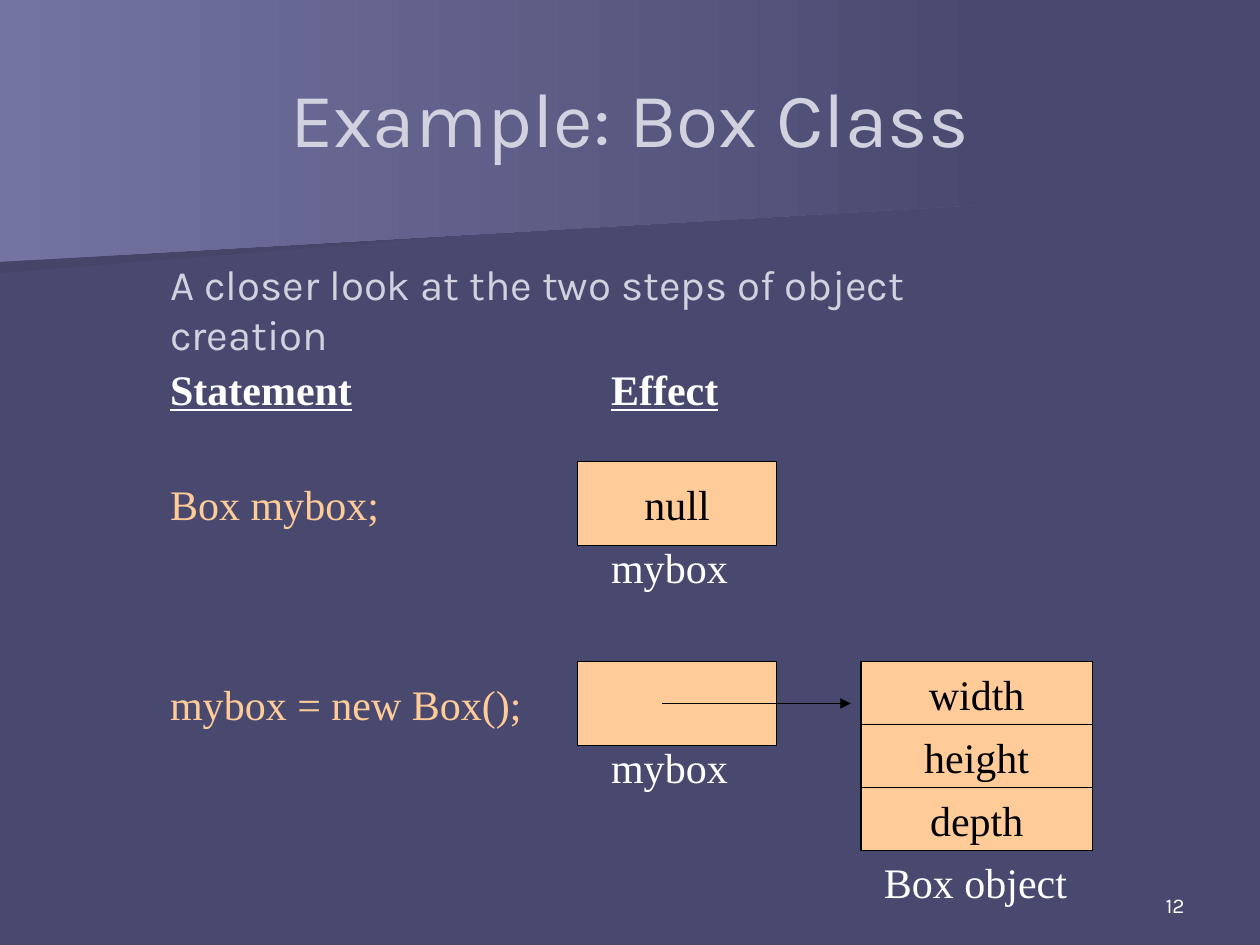
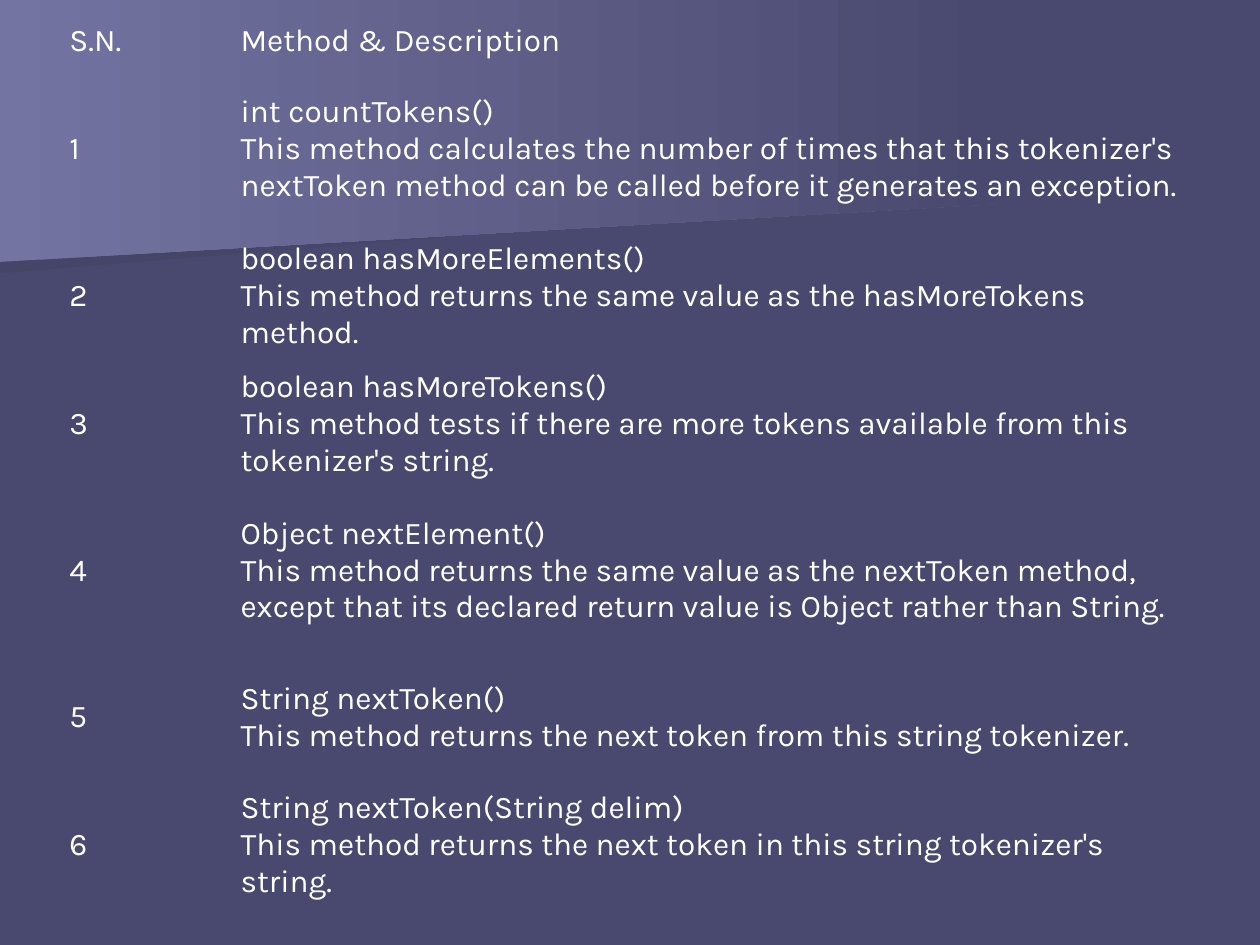
"""Build two slides on Java objects: the Box class and the tokenizer methods."""
import dataclasses

import lxml.etree
import pptx
import pptx.dml.color
import pptx.enum.shapes
import pptx.enum.text
import pptx.oxml.ns
import pptx.util

Cm, Pt = pptx.util.Cm, pptx.util.Pt
ALIGN, ANCHOR = pptx.enum.text.PP_ALIGN, pptx.enum.text.MSO_ANCHOR
SHAPE = pptx.enum.shapes.MSO_SHAPE
LINE = pptx.enum.shapes.MSO_CONNECTOR.STRAIGHT


@dataclasses.dataclass(frozen=True)
class Theme:
    back: str = "49496F"
    shade: str = "454568"
    glow: str = "7474A2"
    pale: str = "D1D1DF"
    white: str = "FFFFFF"
    peach: str = "FFCC99"
    black: str = "000000"
    sans: str = "Karla"
    serif: str = "Times New Roman"
    title: int = 44
    body: int = 24
    table: int = 18
    small: int = 12


THEME = Theme()

TITLE = "Example: Box Class"
LEAD = "A closer look at the two steps of object creation"
NUMBER = "12"
HEADS = [("Statement", 3.18, 4.45), ("Effect", 12.07, 3.61)]
STEPS = [("Box mybox;", "null", 9.31), ("mybox = new Box();", "", 13.34)]
NAME = "mybox"
FIELDS = ["width", "height", "depth"]
OBJECT = "Box object"

METHODS = [
    ("int countTokens()",
     "This method calculates the number of times that this tokenizer's "
     "nextToken method can be called before it generates an exception."),
    ("boolean hasMoreElements()",
     "This method returns the same value as the hasMoreTokens method."),
    ("boolean hasMoreTokens()",
     "This method tests if there are more tokens available from this tokenizer's string."),
    ("Object nextElement()",
     "This method returns the same value as the nextToken method, "
     "except that its declared return value is Object rather than String."),
    ("String nextToken()",
     "This method returns the next token from this string tokenizer."),
    ("String nextToken(String delim)",
     "This method returns the next token in this string tokenizer's string."),
]
ROWS = [("S.N.", "Method & Description")] + [
    (str(num), f"{call}\v{note}") for num, (call, note) in enumerate(METHODS, 1)]
WIDTHS = [3.45, 19.41]
HEIGHTS = [0.94, 3.35, 2.57, 2.57, 3.35, 2.57, 2.57]

BANDS = [
    (THEME.shade, [(19.76, 3.89), (0, 5.51), (0, 2.57), (19.79, 2.57), (19.76, 3.25)]),
    (THEME.glow, [(20.12, 4.11), (0, 5.28), (0, 0), (20.12, 0)]),
]


def rgb(code):
    return pptx.dml.color.RGBColor.from_string(code)


def write(frame, text, size, color, face, align=ALIGN.LEFT, strong=False):
    frame.text = text
    para = frame.paragraphs[0]
    para.alignment = align
    font = para.font
    font.size, font.name = Pt(size), face
    font.color.rgb = rgb(color)
    if strong:
        font.bold = font.underline = True


def label(slide, text, place, color=THEME.white, size=THEME.body, face=THEME.serif,
          anchor=ANCHOR.TOP, **style):
    frame = slide.shapes.add_textbox(*map(Cm, place)).text_frame
    frame.word_wrap = True
    frame.vertical_anchor = anchor
    write(frame, text, size, color, face, **style)


def cell_box(slide, text, place):
    box = slide.shapes.add_shape(SHAPE.RECTANGLE, *map(Cm, place))
    box.shadow.inherit = False
    box.fill.solid()
    box.fill.fore_color.rgb = rgb(THEME.peach)
    box.line.color.rgb = rgb(THEME.black)
    box.line.width = Pt(0.75)
    if text:
        box.text_frame.word_wrap = False
        box.text_frame.vertical_anchor = ANCHOR.MIDDLE
        write(box.text_frame, text, THEME.body, THEME.black, THEME.serif, ALIGN.CENTER)


def arrow(slide, left, right, y):
    line = slide.shapes.add_connector(LINE, Cm(left), Cm(y), Cm(right), Cm(y))
    line.line.color.rgb = rgb(THEME.black)
    line.line.width = Pt(0.75)
    qn = pptx.oxml.ns.qn
    lxml.etree.SubElement(line.line._get_or_add_ln(), qn("a:tailEnd"), type="triangle")
    lxml.etree.SubElement(line._element.spPr, qn("a:effectLst"))


def new_slide(deck):
    slide = deck.slides.add_slide(deck.slide_layouts[6])
    for color, points in BANDS:
        first, *rest = [(Cm(x), Cm(y)) for x, y in points]
        path = slide.shapes.build_freeform(*first)
        path.add_line_segments(rest, close=True)
        band = path.convert_to_shape()
        band.shadow.inherit = False
        band.line.fill.background()
        band.fill.gradient()
        band.fill.gradient_angle = 0
        for stop, code, spot in zip(band.fill.gradient_stops, (color, THEME.back), (0, 1)):
            stop.color.rgb = rgb(code)
            stop.position = spot
    return slide


def box_slide(deck):
    slide = new_slide(deck)
    label(slide, TITLE, (1.27, 0.76, 22.86, 3.18), THEME.pale, THEME.title, THEME.sans,
          ANCHOR.MIDDLE, align=ALIGN.CENTER)
    label(slide, NUMBER, (18.21, 17.35, 5.92, 1.27), THEME.white, THEME.small, THEME.sans,
          ANCHOR.BOTTOM, align=ALIGN.RIGHT)
    label(slide, LEAD, (3.18, 5.08, 18.62, 2.29), THEME.pale, face=THEME.sans)
    for text, left, width in HEADS:
        label(slide, text, (left, 7.2, width, 1.27), strong=True)
    for code, value, top in STEPS:
        label(slide, code, (3.18, top + 0.21, 8.26, 1.27), THEME.peach)
        cell_box(slide, value, (11.64, top, 4.02, 1.69))
        label(slide, NAME, (12.07, top + 1.48, 3.18, 1.27))
    high = 1.27
    for row, field in enumerate(FIELDS):
        cell_box(slide, field, (17.36, top + row * high, 4.66, high))
    label(slide, OBJECT, (17.57, top + len(FIELDS) * high, 4.45, high))
    arrow(slide, 13.34, 17.15, top + 0.84)


def table_slide(deck):
    slide = new_slide(deck)
    place = map(Cm, (1.27, 0.33, sum(WIDTHS), sum(HEIGHTS)))
    table = slide.shapes.add_table(len(ROWS), len(WIDTHS), *place).table
    table.first_row = table.horz_banding = False
    style = table._tbl.tblPr.find(pptx.oxml.ns.qn("a:tableStyleId"))
    style.text = "{2D5ABB26-0587-4C30-8999-92F81FD0307C}"
    for col, width in zip(table.columns, WIDTHS):
        col.width = Cm(width)
    for row, high, texts in zip(table.rows, HEIGHTS, ROWS):
        row.height = Cm(high)
        for cell, text in zip(row.cells, texts):
            cell.fill.background()
            cell.vertical_anchor = ANCHOR.MIDDLE
            cell.margin_left = cell.margin_right = Cm(0.13)
            cell.margin_top = cell.margin_bottom = Cm(0.13)
            write(cell.text_frame, text, THEME.table, THEME.white, THEME.sans)


def main():
    deck = pptx.Presentation()
    deck.slide_width, deck.slide_height = Cm(25.4), Cm(19.05)
    fill = deck.slide_master.background.fill
    fill.solid()
    fill.fore_color.rgb = rgb(THEME.back)
    box_slide(deck)
    table_slide(deck)
    deck.save("out.pptx")


if __name__ == "__main__":
    main()
